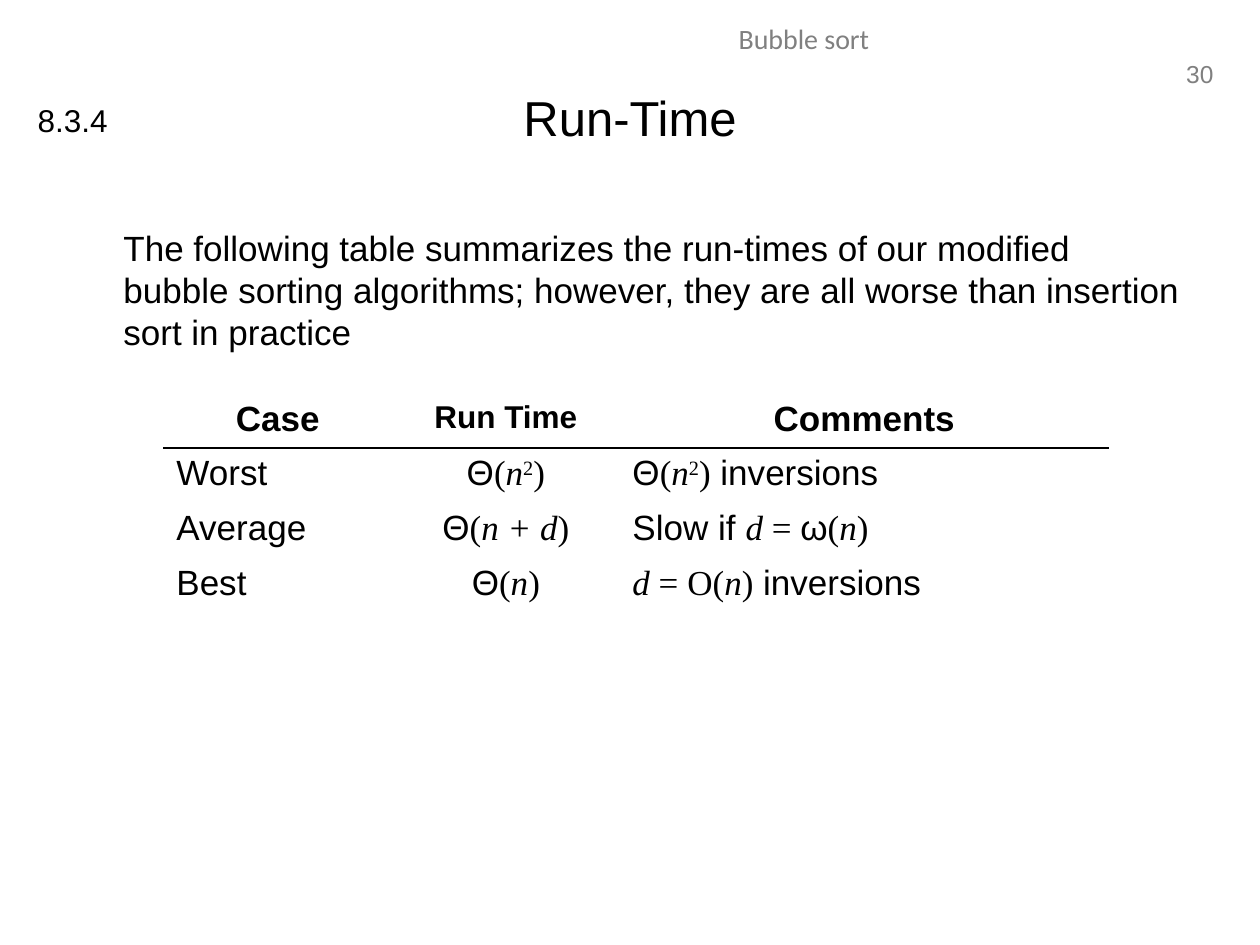
import pptx
import pptx.util
import pptx.dml.color
import pptx.enum.text
import pptx.oxml
import pptx.oxml.ns
from pptx.util import Inches

SANS, SERIF = "Arial", "Times New Roman"
BLACK, GREY = "000000", "808080"
ALIGN = pptx.enum.text.PP_ALIGN
LEFT, CENTER, RIGHT = ALIGN.LEFT, ALIGN.CENTER, ALIGN.RIGHT

# Run styles: plain text, upright maths, maths variable, superscript
TEXT, MATH, VAR, SUP = "text", "math", "var", "sup"

THETA_N = [("Θ", TEXT), ("(", MATH), ("n", VAR), (")", MATH)]
THETA_N_SQUARED = THETA_N[:3] + [("2", SUP), (")", MATH)]
THETA_N_PLUS_D = [("Θ", TEXT), ("(", MATH), ("n + d", VAR), (")", MATH)]
RUN_TIMES = [
    ([("Worst", TEXT)], THETA_N_SQUARED,
     THETA_N_SQUARED + [(" inversions", TEXT)]),
    ([("Average", TEXT)], THETA_N_PLUS_D,
     [("Slow if ", TEXT), ("d", VAR), (" = ", MATH), ("ω", TEXT),
      ("(", MATH), ("n", VAR), (")", MATH)]),
    ([("Best", TEXT)], THETA_N,
     [("d", VAR), (" = O(", MATH), ("n", VAR), (")", MATH),
      (" inversions", TEXT)]),
]
HEADINGS = [("Case", 20), ("Run Time", 18), ("Comments", 20)]


def rgb(color):
    return pptx.dml.color.RGBColor.from_string(color)


def add_run(p, text, size, font=SANS, color=BLACK, bold=False, italic=False):
    r = p.add_run()
    r.text = text
    r.font.name = font
    r.font.size = pptx.util.Pt(size)
    r.font.bold = bold
    r.font.italic = italic
    r.font.color.rgb = rgb(color)
    return r


def add_styled_runs(p, runs, size=20):
    for text, style in runs:
        r = add_run(p, text, size, SANS if style == TEXT else SERIF,
                    italic=style == VAR)
        if style == SUP:
            r.font._element.set("baseline", "30000")


def add_label(slide, box, text, size, font=SANS, color=BLACK, align=LEFT,
              wrap=True):
    sp = slide.shapes.add_textbox(*(Inches(v) for v in box))
    tf = sp.text_frame
    tf.word_wrap = wrap
    p = tf.paragraphs[0]
    p.alignment = align
    add_run(p, text, size, font, color)
    return sp


def set_title(slide, text):
    sp = slide.shapes.title
    sp.left, sp.top = Inches(0.5), Inches(0.3)
    sp.width, sp.height = Inches(9), Inches(1.25)
    tf = sp.text_frame
    tf.vertical_anchor = pptx.enum.text.MSO_ANCHOR.MIDDLE
    p = tf.paragraphs[0]
    p.alignment = CENTER
    add_run(p, text, 28)


def set_border(cell, side):
    """Draw a 1 pt black line on one side: "T" or "B"."""
    ns = pptx.oxml.ns.nsdecls("a")
    line = pptx.oxml.parse_xml(
        f'<a:ln{side} {ns} w="12700"><a:solidFill><a:srgbClr val="{BLACK}"/>'
        f'</a:solidFill></a:ln{side}>')
    cell._tc.get_or_add_tcPr().insert(0, line)


def add_run_time_table(slide):
    widths = [1.81, 1.81, 3.88]
    row_count = len(RUN_TIMES) + 1
    table = slide.shapes.add_table(
        row_count, len(widths), Inches(1.3), Inches(3.12),
        Inches(sum(widths)), Inches(0.43 * row_count)).table
    table.first_row = table.horz_banding = False
    for column, width in zip(table.columns, widths):
        column.width = Inches(width)
    for cell in table.iter_cells():
        cell.fill.background()

    for c, (heading, size) in enumerate(HEADINGS):
        cell = table.cell(0, c)
        p = cell.text_frame.paragraphs[0]
        p.alignment = CENTER
        add_run(p, heading, size, bold=True)
        set_border(cell, "B")
        set_border(table.cell(1, c), "T")

    for i, row in enumerate(RUN_TIMES, start=1):
        for c, runs in enumerate(row):
            p = table.cell(i, c).text_frame.paragraphs[0]
            p.alignment = CENTER if c == 1 else LEFT
            add_styled_runs(p, runs)


def main():
    prs = pptx.Presentation()
    prs.slide_width, prs.slide_height = Inches(10), Inches(7.5)
    slide = prs.slides.add_slide(prs.slide_layouts[5])

    add_label(slide, (9.29, 0.42, 0.44, 0.33), "30", 14, color=GREY,
              align=RIGHT, wrap=False)
    add_label(slide, (3.19, 0.12, 6.38, 0.4), "Bubble sort", 16, "Calibri",
              GREY, CENTER)
    set_title(slide, "Run-Time")
    body = add_label(
        slide, (0.5, 1.75, 8.97, 4.95),
        "The following table summarizes the run-times of our modified "
        "bubble sorting algorithms; however, they are all worse than "
        "insertion sort in practice", 20)
    body.text_frame.margin_left = Inches(0.48)
    add_run_time_table(slide)
    add_label(slide, (0.2, 0.75, 0.76, 0.4), "8.3.4", 18, wrap=False)

    prs.save("out.pptx")


if __name__ == "__main__":
    main()
